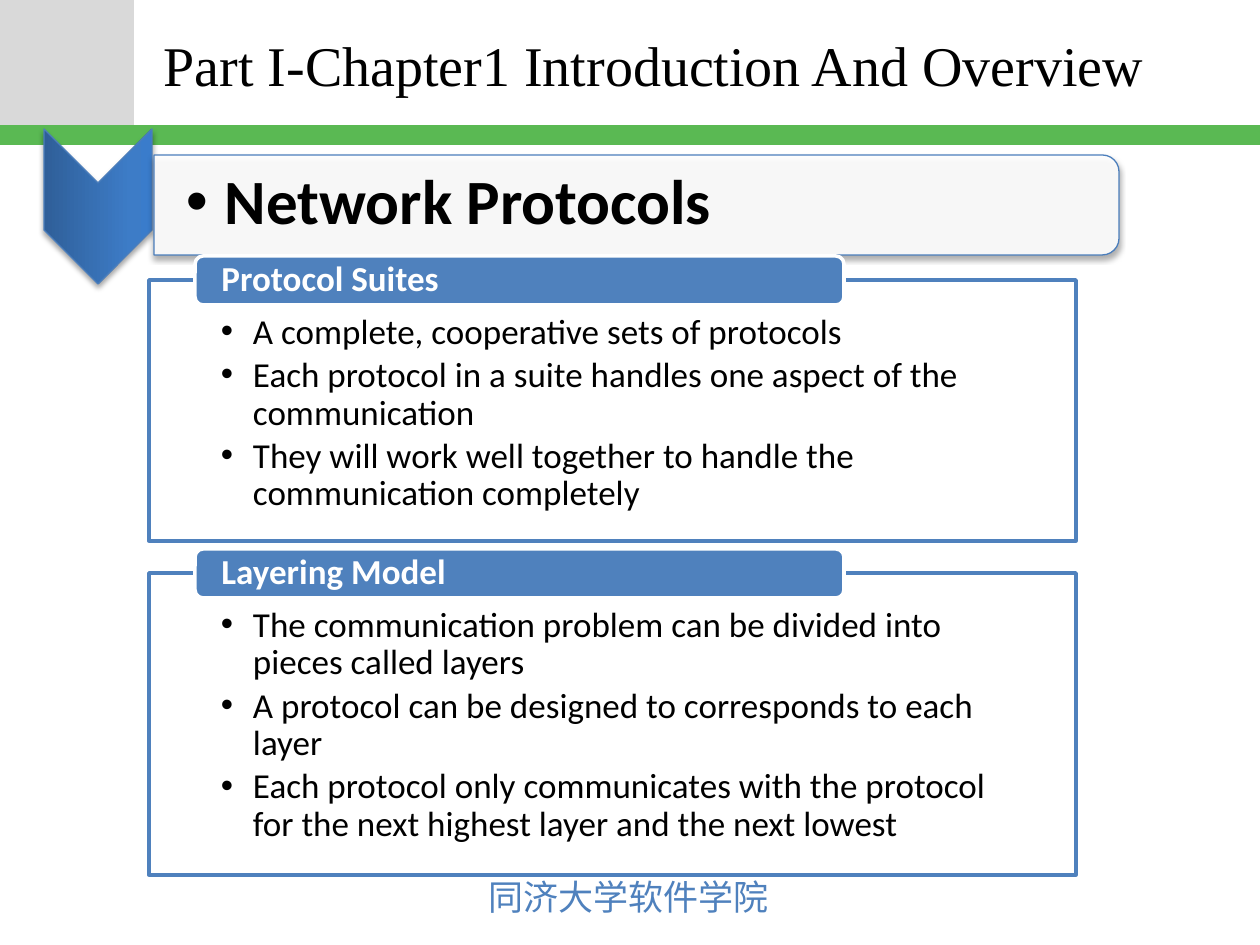
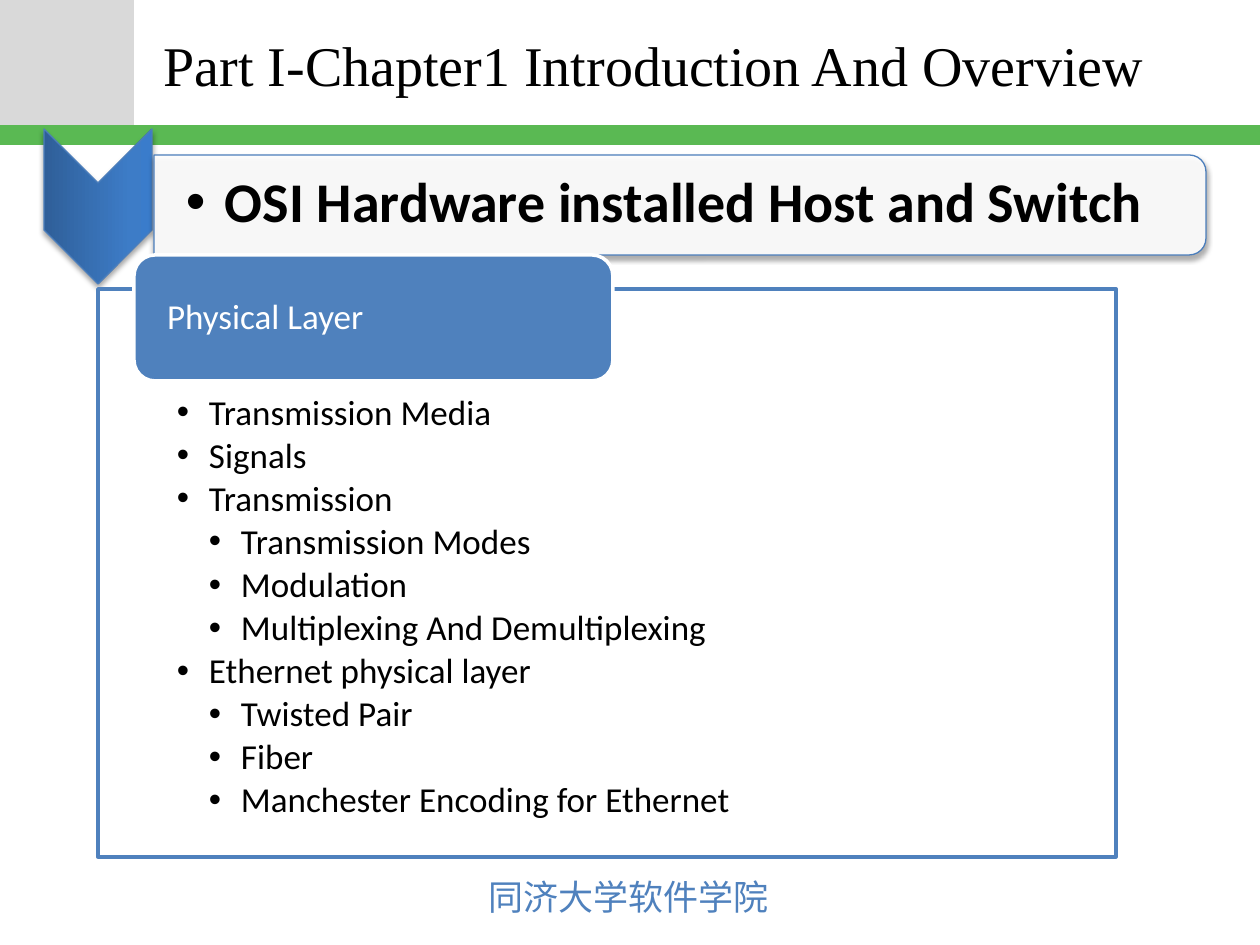
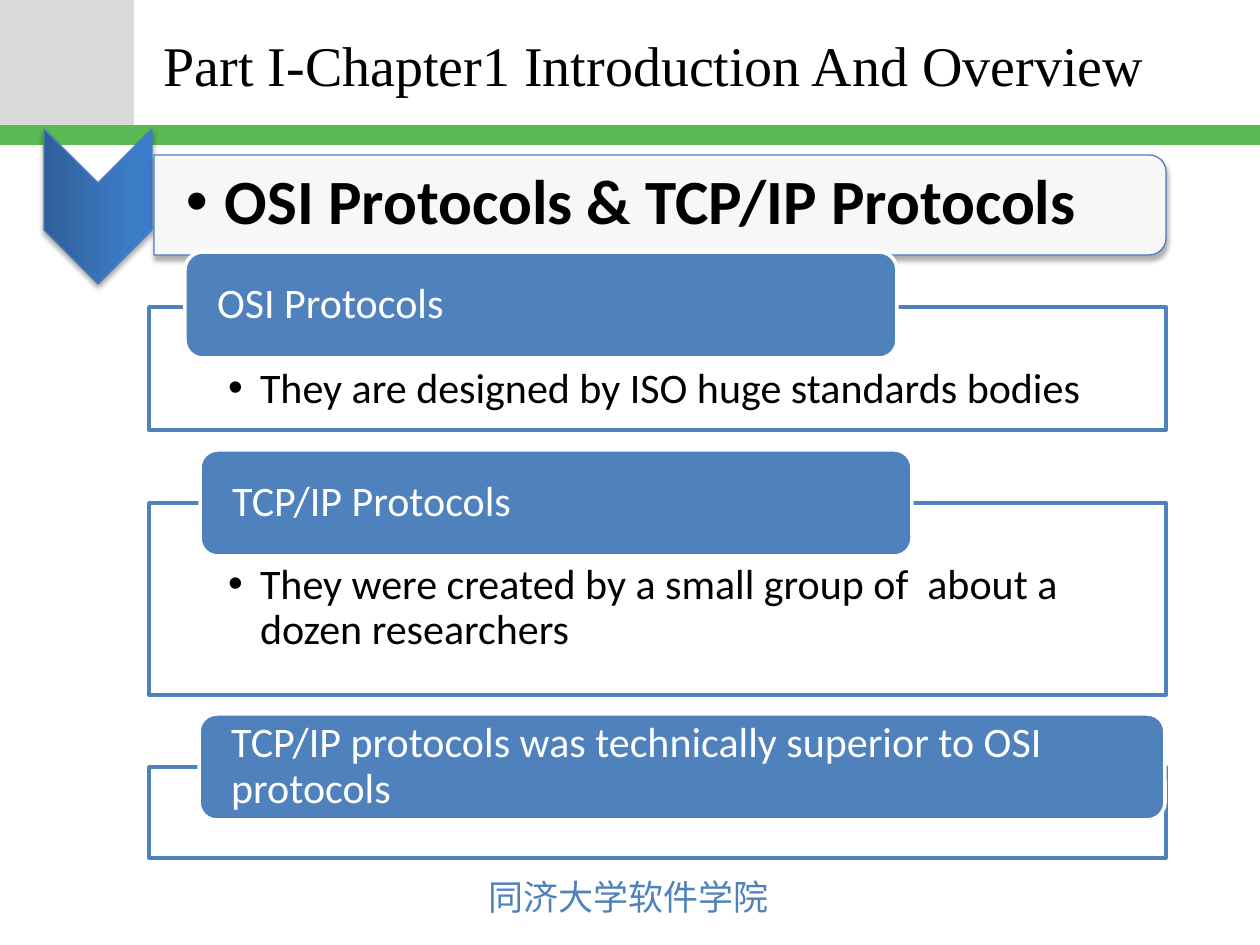
import pptx
import pptx.util
import pptx.dml.color
import pptx.enum.shapes
import pptx.enum.text
import pptx.oxml.ns
import lxml.etree

HUES = {
    "gray": "D9D9D9",
    "green": "5AB953",
    "blue": "4F81BD",
    "edge": "4B7EBC",
    "white": "FFFFFF",
    "black": "000000",
}
FADE = [(0, "2F5F99"), (80, "3D7CC7"), (100, "3A7CCB")]
TITLE = "Part I-Chapter1 Introduction And Overview"
SCHOOL = "同济大学软件学院"

SLIDES = [
    {
        "head": "Network Protocols", "wide": 965, "big": 36,
        "size": 20, "bold": True, "pad": (72, 34, 72, 20), "inset": 24,
        "panels": [
            ("Protocol Suites", (195, 256, 649, 49), (149, 280, 927, 261), [
                (1, "A complete, cooperative sets of protocols"),
                (1, "Each protocol in a suite handles one aspect of the communication"),
                (1, "They will work well together to handle the  communication completely"),
            ]),
            ("Layering Model", (195, 549, 649, 49), (149, 573, 927, 302), [
                (1, "The communication problem can be divided into pieces called layers"),
                (1, "A protocol can be designed to corresponds to each layer"),
                (1, "Each protocol only communicates with the protocol for the next "
                    "highest layer and the next lowest"),
            ]),
        ],
    },
    {
        "head": "OSI Hardware installed Host and Switch", "wide": 1052, "big": 32,
        "size": 20, "bold": False, "pad": (79, 106, 79, 20), "inset": 27,
        "panels": [
            ("Physical Layer", (134, 255, 479, 126), (98, 289, 1018, 568), [
                (1, "Transmission Media"),
                (1, "Signals"),
                (1, "Transmission"),
                (2, "Transmission Modes"),
                (2, "Modulation"),
                (2, "Multiplexing And Demultiplexing"),
                (1, "Ethernet physical layer"),
                (2, "Twisted Pair"),
                (2, "Fiber"),
                (2, "Manchester Encoding for Ethernet"),
            ]),
        ],
    },
    {
        "head": "OSI Protocols & TCP/IP Protocols", "wide": 1012, "big": 36,
        "size": 24, "bold": False, "pad": (79, 60, 79, 24), "inset": 27,
        "panels": [
            ("OSI Protocols", (185, 252, 712, 106), (149, 307, 1017, 123), [
                (1, "They are designed by ISO huge standards bodies"),
            ]),
            ("TCP/IP Protocols", (200, 450, 712, 106), (149, 503, 1017, 192), [
                (1, "They were created by a small group of  about a dozen researchers"),
            ]),
            ("TCP/IP protocols was technically superior to OSI protocols",
             (199, 714, 966, 106), (149, 767, 1017, 91), []),
        ],
    },
]

KINDS = pptx.enum.shapes.MSO_SHAPE
ANCHOR = pptx.enum.text.MSO_ANCHOR
LEFT = pptx.enum.text.PP_ALIGN.LEFT
qn = pptx.oxml.ns.qn


def px(n):
    return pptx.util.Emu(round(n * 914400 / 126))


def hue(name):
    return pptx.dml.color.RGBColor.from_string(HUES[name])


def node(parent, tag, **attrs):
    return lxml.etree.SubElement(parent, qn(tag), attrs)


def place(shape, box):
    shape.left, shape.top, shape.width, shape.height = map(px, box)


def draw(slide, kind, box, fill, line=None, weight=2, alpha=None):
    shape = slide.shapes.add_shape(kind, *map(px, box))
    shape.shadow.inherit = False
    shape.fill.solid()
    shape.fill.fore_color.rgb = hue(fill)
    if alpha:
        tint = shape.element.spPr.find(qn("a:solidFill"))[0]
        node(tint, "a:alpha", val=str(alpha * 1000))
    if line:
        shape.line.color.rgb = hue(line)
        shape.line.width = pptx.util.Pt(weight)
    else:
        shape.line.fill.background()
    return shape


def turn(slide, kind, box, fill, alpha=None):
    x, y, w, h = box
    flat = (x + (w - h) / 2, y + (h - w) / 2, h, w)
    shape = draw(slide, kind, flat, fill, "edge", 0.75, alpha)
    shape.rotation = 90
    glow = node(shape.element.spPr.find(qn("a:effectLst")), "a:outerShdw",
                blurRad="39370", dist="22860", dir="5400000", rotWithShape="0")
    node(node(glow, "a:srgbClr", val=HUES["black"]), "a:alpha", val="35000")
    return shape


def write(shape, lines, size, color, pad=None, anchor=ANCHOR.MIDDLE,
          bold=False, font="Calibri", step=32, gap=0, pitch=1.0):
    frame = shape.text_frame
    frame.auto_size = pptx.enum.text.MSO_AUTO_SIZE.NONE
    frame.word_wrap = True
    frame.vertical_anchor = anchor
    if pad:
        (frame.margin_left, frame.margin_top,
         frame.margin_right, frame.margin_bottom) = map(px, pad)
    frame.text = "\n".join(text for _, text in lines)
    for para, (level, _) in zip(frame.paragraphs, lines):
        para.alignment = LEFT
        para.line_spacing = pitch
        para.space_before = pptx.util.Pt(0)
        para.space_after = pptx.util.Pt(round(gap * size, 1))
        if level:
            para.level = level
            props = para._p.get_or_add_pPr()
            props.set("marL", str(px(step * level)))
            props.set("indent", str(px(-step)))
            node(props, "a:buFont", typeface="Arial")
            node(props, "a:buChar", char="•")
        for run in para.runs:
            run.font.size = pptx.util.Pt(size)
            run.font.name = font
            run.font.bold = bold
            run.font.color.rgb = hue(color)
            node(run._r.get_or_add_rPr(), "a:ea", typeface=font)


def share(slide):
    foot = slide.shapes.add_textbox(*map(px, (476, 869, 309, 55)))
    write(foot, [(0, SCHOOL)], 20, "blue", anchor=ANCHOR.TOP, font="Noto Sans CJK JP")
    foot.text_frame.word_wrap = False
    parts = [
        draw(slide, KINDS.RECTANGLE, (0, 0, 134, 125), "gray"),
        draw(slide, KINDS.RECTANGLE, (0, 125, 1260, 20), "green"),
        foot,
    ]
    tree = slide.slide_layout.shapes.element
    for i, part in enumerate(parts):
        part.element.nvSpPr.cNvPr.id = 90 + i
        tree.insert(2 + i, part.element)


def header(slide, page):
    title, body = slide.placeholders
    place(title, (151, 3, 1084, 123))
    write(title, [(0, TITLE)], 32, "black", font="Times New Roman")

    arrow = turn(slide, KINDS.CHEVRON, (44, 129, 108, 155), "blue")
    arrow.fill.gradient()
    arrow.fill.gradient_angle = 90
    stops = arrow.element.spPr.find(qn("a:gradFill")).find(qn("a:gsLst"))
    stops[:] = []
    for pos, shade in FADE:
        node(node(stops, "a:gs", pos=str(pos * 1000)), "a:srgbClr", val=shade)

    turn(slide, KINDS.ROUND_2_SAME_RECTANGLE, (154, 155, page["wide"], 100), "white", 90)
    slide.shapes.element.append(body.element)
    place(body, (154, 160, page["wide"] - 4, 89))
    write(body, [(1, page["head"])], page["big"], "black", (32, 3, 3, 3),
          bold=True, step=39, gap=0.15, pitch=0.9)


def panel(slide, page, name, tab, box, items):
    frame = draw(slide, KINDS.RECTANGLE, box, "white", "blue", alpha=90)
    if items:
        write(frame, items, page["size"], "black", page["pad"], ANCHOR.TOP,
              gap=0.15, pitch=0.9)
    label = draw(slide, KINDS.ROUNDED_RECTANGLE, tab, "blue", "white")
    write(label, [(0, name)], page["size"], "white", (page["inset"], 0, page["inset"], 0),
          bold=page["bold"], pitch=0.9)


def main():
    prs = pptx.Presentation()
    prs.slide_width, prs.slide_height = px(1260), px(945)
    for i, page in enumerate(SLIDES):
        slide = prs.slides.add_slide(prs.slide_layouts[1])
        if i == 0:
            share(slide)
        header(slide, page)
        for part in page["panels"]:
            panel(slide, page, *part)
    prs.save("out.pptx")


if __name__ == "__main__":
    main()
